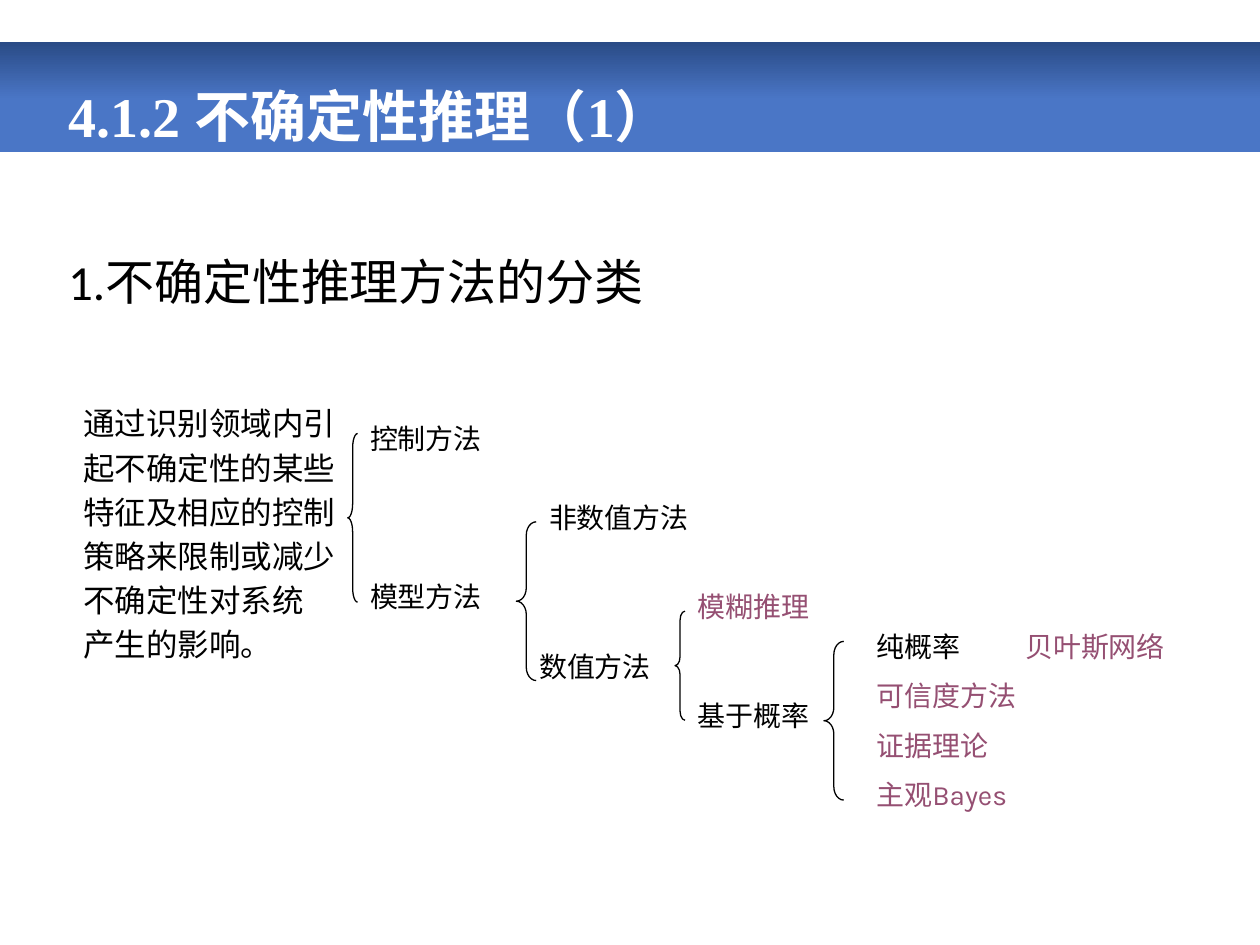
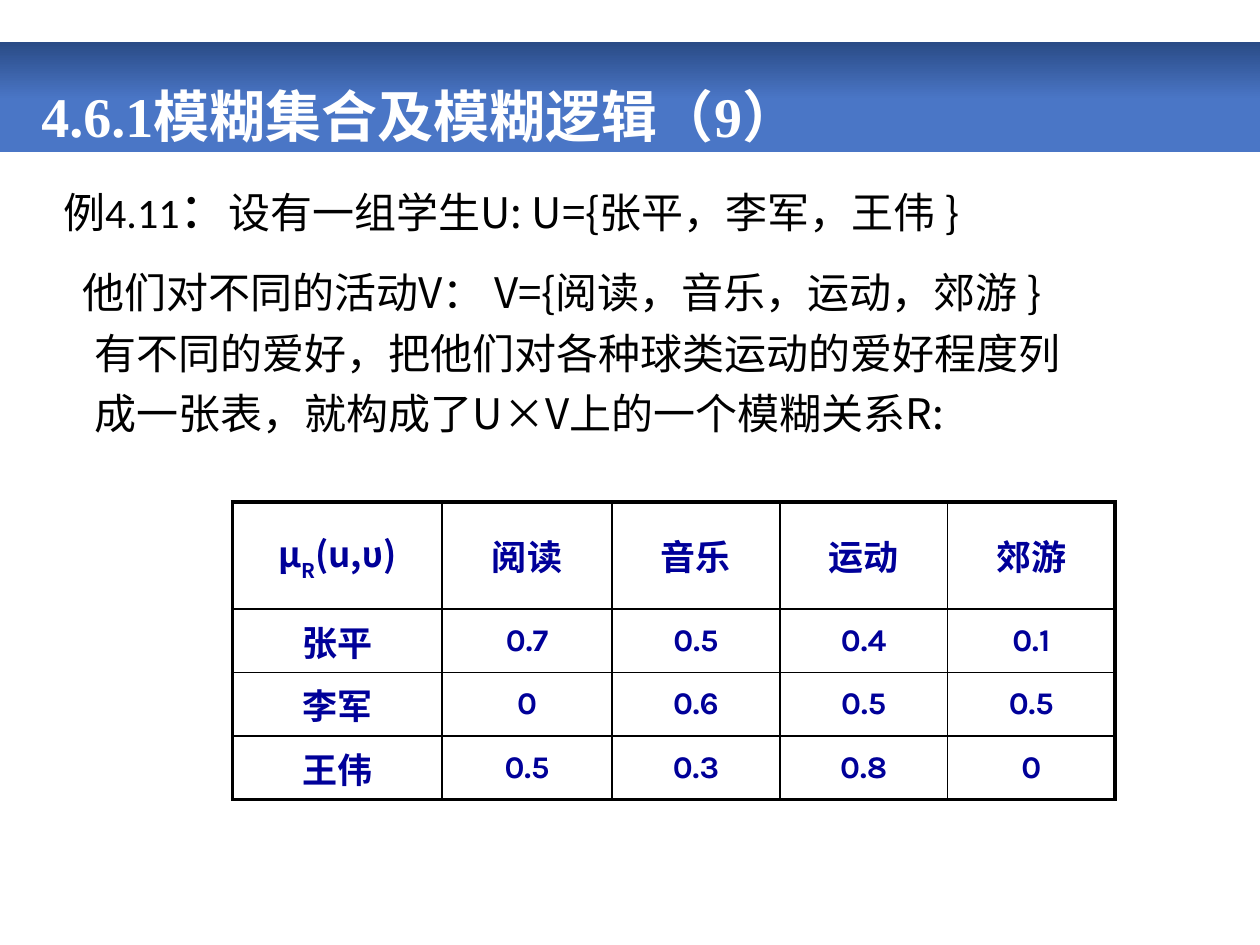
from dataclasses import dataclass

from lxml import etree
from pptx import Presentation
from pptx.dml.color import RGBColor
from pptx.enum.shapes import MSO_SHAPE
from pptx.enum.text import MSO_ANCHOR, MSO_AUTO_SIZE, PP_ALIGN
from pptx.oxml.ns import qn
from pptx.util import Cm, Pt

RECTANGLE = MSO_SHAPE.RECTANGLE
LEFT_BRACE = MSO_SHAPE.LEFT_BRACE
CALLOUT = MSO_SHAPE.ROUNDED_RECTANGULAR_CALLOUT
TOP, MIDDLE, BOTTOM = MSO_ANCHOR.TOP, MSO_ANCHOR.MIDDLE, MSO_ANCHOR.BOTTOM
LEFT, CENTER, JUSTIFY = PP_ALIGN.LEFT, PP_ALIGN.CENTER, PP_ALIGN.JUSTIFY
NO_FIT = MSO_AUTO_SIZE.NONE


@dataclass(frozen=True)
class Theme:
    ink: str = "000000"
    title_ink: str = "FFFFFF"
    accent: str = "954F72"
    table_ink: str = "000099"
    band_bottom: str = "4A76C6"
    band_top: str = "2A4B86"
    title_face: str = "Times New Roman"
    body_face: str = "Calibri"
    label_face: str = "Karla"
    chinese_face: str = "Noto Sans CJK SC"
    title_size: int = 32
    heading_size: int = 28
    body_size: int = 24
    table_size: int = 20
    note_size: int = 18
    label_size: int = 16
    outer_border: float = 2.25
    inner_border: float = 1
    brace_line: float = 0.75


THEME = Theme()


def add_text(para, text, *, size, face, color=THEME.ink, bold=False, baseline=0):
    span = para.add_run()
    span.text = text
    font = span.font
    font.size, font.bold, font.name = Pt(size), bold, face
    font.color.rgb = RGBColor.from_string(color)
    properties = span._r.get_or_add_rPr()
    etree.SubElement(properties, qn("a:ea"), typeface=THEME.chinese_face)
    if baseline:
        properties.set("baseline", str(baseline * 1000))


def hang(para, margin, indent):
    """Indent a paragraph and take its bullet away."""
    properties = para._p.get_or_add_pPr()
    properties.set("marL", str(Cm(margin)))
    properties.set("indent", str(Cm(indent)))
    etree.SubElement(properties, qn("a:buNone"))


def set_border(cell, side, width):
    line = etree.SubElement(cell._tc.get_or_add_tcPr(), qn(f"a:ln{side}"),
                            w=str(Pt(width)))
    fill = etree.SubElement(line, qn("a:solidFill"))
    etree.SubElement(fill, qn("a:srgbClr"), val=THEME.ink)


class DeckBuilder:
    def __init__(self, theme):
        self.theme = theme
        self.deck = Presentation()
        self.deck.slide_width, self.deck.slide_height = Cm(25.4), Cm(19.05)
        self.layout = self.deck.slide_layouts[1]
        self.page = None

    def add_page(self, title, left):
        theme = self.theme
        first = self.page is None
        self.page = self.deck.slides.add_slide(self.layout)
        if first:
            self.add_band()
        holder = self.place(self.page.shapes.title, left, 1.19, 23.75, 1.96, BOTTOM)
        para = holder.text_frame.paragraphs[0]
        para.alignment, para.line_spacing = LEFT, 0.9
        add_text(para, title, size=theme.title_size, face=theme.title_face,
                 color=theme.title_ink, bold=True)

    def add_band(self):
        """Draw the title band and move it to the layout, behind every title."""
        band = self.add_shape(RECTANGLE, 0, 0.85, 25.4, 2.22)
        band.fill.gradient()
        band.fill.gradient_angle = 90
        stops = ((0.48, self.theme.band_bottom), (1, self.theme.band_top))
        for stop, (position, color) in zip(band.fill.gradient_stops, stops):
            stop.position = position
            stop.color.rgb = RGBColor.from_string(color)
        band.element.nvSpPr.cNvPr.set("id", "20")
        self.layout.shapes.element.insert(2, band.element)

    def place(self, holder, left, top, width, height, anchor):
        holder.left, holder.top = Cm(left), Cm(top)
        holder.width, holder.height = Cm(width), Cm(height)
        frame = holder.text_frame
        frame.auto_size, frame.vertical_anchor = NO_FIT, anchor
        return holder

    def add_body(self, paragraphs, left, top, width, height):
        """Fill the body; a paragraph is (first-line indent, line spacing, spans)."""
        holder = self.place(self.page.placeholders[1], left, top, width, height, TOP)
        frame = holder.text_frame
        for index, (indent, spacing, spans) in enumerate(paragraphs):
            para = frame.add_paragraph() if index else frame.paragraphs[0]
            para.line_spacing = spacing
            para.space_before = Pt(10 if index else 0)
            hang(para, 0.64, indent)
            for text, face, size in spans:
                add_text(para, text, face=face, size=size)

    def add_shape(self, kind, left, top, width, height):
        shape = self.page.shapes.add_shape(kind, Cm(left), Cm(top), Cm(width), Cm(height))
        shape.shadow.inherit = False
        shape.fill.background()
        shape.line.fill.background()
        return shape

    def add_brace(self, left, top, width, height, curve):
        brace = self.add_shape(LEFT_BRACE, left, top, width, height)
        brace.line.color.rgb = RGBColor.from_string(self.theme.ink)
        brace.line.width = Pt(self.theme.brace_line)
        brace.adjustments[0], brace.adjustments[1] = curve, 0.5

    def add_label(self, text, left, top, color):
        box = self.page.shapes.add_textbox(Cm(left), Cm(top), Cm(3.2), Cm(1))
        frame = box.text_frame
        frame.word_wrap, frame.vertical_anchor = False, MIDDLE
        frame.margin_right = 0
        add_text(frame.paragraphs[0], text, size=self.theme.label_size,
                 face=self.theme.label_face, color=color)

    def add_note(self, lines, left, top, width, height):
        note = self.add_shape(CALLOUT, left, top, width, height)
        for index, value in enumerate((0.57, -0.3, 0.17)):
            note.adjustments[index] = value
        frame = note.text_frame
        frame.word_wrap, frame.vertical_anchor = True, TOP
        frame.margin_top = 0
        for index, line in enumerate(lines):
            para = frame.add_paragraph() if index else frame.paragraphs[0]
            para.alignment, para.line_spacing = JUSTIFY, Pt(25.2)
            add_text(para, line, size=self.theme.note_size, face=self.theme.chinese_face)

    def add_table(self, rows, left, top, widths, heights):
        theme = self.theme
        table = self.page.shapes.add_table(
            len(rows), len(widths), Cm(left), Cm(top),
            Cm(sum(widths)), Cm(sum(heights))).table
        table.first_row = table.horz_banding = False
        for column, width in zip(table.columns, widths):
            column.width = Cm(width)
        for row, height in zip(table.rows, heights):
            row.height = Cm(height)
        last_row, last_column = len(rows) - 1, len(widths) - 1
        for r, values in enumerate(rows):
            for c, spans in enumerate(values):
                cell = table.cell(r, c)
                edges = {"L": c == 0, "R": c == last_column,
                         "T": r == 0, "B": r == last_row}
                for side, outer in edges.items():
                    set_border(cell, side,
                               theme.outer_border if outer else theme.inner_border)
                cell.fill.background()
                cell.vertical_anchor = MIDDLE
                para = cell.text_frame.paragraphs[0]
                para.alignment = CENTER
                number = r > 0 and c > 0
                for text, baseline in spans:
                    add_text(para, text, baseline=baseline, bold=True,
                             color=theme.table_ink,
                             size=theme.note_size if number else theme.table_size,
                             face=theme.label_face if number else theme.chinese_face)


def build_classification(builder):
    theme = builder.theme
    builder.add_page("4.1.2 不确定性推理（1）", 1.12)
    heading = [("1.不确定性推理方法的分类", theme.body_face, theme.heading_size)]
    builder.add_body([(-0.64, 0.9, heading)], 1.12, 5.08, 21.9, 12.09)

    methods = [
        ("控制方法", 7.21, 8.33, theme.ink),
        ("模型方法", 7.21, 11.53, theme.ink),
        ("非数值方法", 10.82, 9.93, theme.ink),
        ("数值方法", 10.62, 12.93, theme.ink),
        ("模糊推理", 13.82, 11.73, theme.accent),
        ("基于概率", 13.82, 13.92, theme.ink),
        ("贝叶斯网络", 20.42, 12.52, theme.accent),
    ]
    probability_methods = ["纯概率", "可信度方法", "证据理论", "主观Bayes"]
    for index, name in enumerate(probability_methods):
        color = theme.accent if index else theme.ink
        methods.append((name, 17.42, 12.52 + index, color))
    for method in methods:
        builder.add_label(*method)

    braces = [
        (7.01, 8.74, 0.2, 3.4, 1.43),
        (10.41, 10.52, 0.4, 3.2, 0.67),
        (13.61, 12.32, 0.2, 2.2, 0.92),
        (16.61, 12.93, 0.4, 3.2, 0.67),
    ]
    for brace in braces:
        builder.add_brace(*brace)

    control_note = ["通过识别领域内引", "起不确定性的某些", "特征及相应的控制",
                    "策略来限制或减少", "不确定性对系统", "产生的影响。"]
    builder.add_note(control_note, 1.12, 7.72, 6.5, 6.2)


def build_fuzzy_relation(builder):
    theme = builder.theme
    latin, chinese, size = theme.body_face, theme.chinese_face, theme.body_size
    builder.add_page("4.6.1模糊集合及模糊逻辑（9）", 0.58)
    students = [
        ("例4.11", latin, size),
        ("：", latin, theme.heading_size),
        ("设有一组学生U: U={", chinese, size),
        ("张平，李军，王伟 ", latin, size),
        ("}", chinese, size),
    ]
    activities = [
        ("他们对不同的活动V： V={", chinese, size),
        ("阅读，音乐，运动，郊游 ", latin, size),
        ("} 有不同的爱好，把他们对各种球类运动的爱好程度列成一张表，"
         "就构成了U×V上的一个模糊关系R:", chinese, size),
    ]
    builder.add_body([(-0.64, 0.9, students), (-0.25, 1.2, activities)],
                     1.02, 3.63, 20.88, 13.54)

    corner = [("μ", 0), ("R", -30), ("(u,υ)", 0)]
    relation = [
        ["阅读", "音乐", "运动", "郊游"],
        ["张平", "0.7", "0.5", "0.4", "0.1"],
        ["李军", "0", "0.6", "0.5", "0.5"],
        ["王伟", "0.5", "0.3", "0.8", "0"],
    ]
    rows = [[[(value, 0)] for value in values] for values in relation]
    rows[0].insert(0, corner)
    builder.add_table(rows, 4.69, 10.12, [4.22, 3.43] + [3.38] * 3, [2.16] + [1.24] * 3)


def main():
    builder = DeckBuilder(THEME)
    build_classification(builder)
    build_fuzzy_relation(builder)
    builder.deck.save("out.pptx")


if __name__ == "__main__":
    main()
